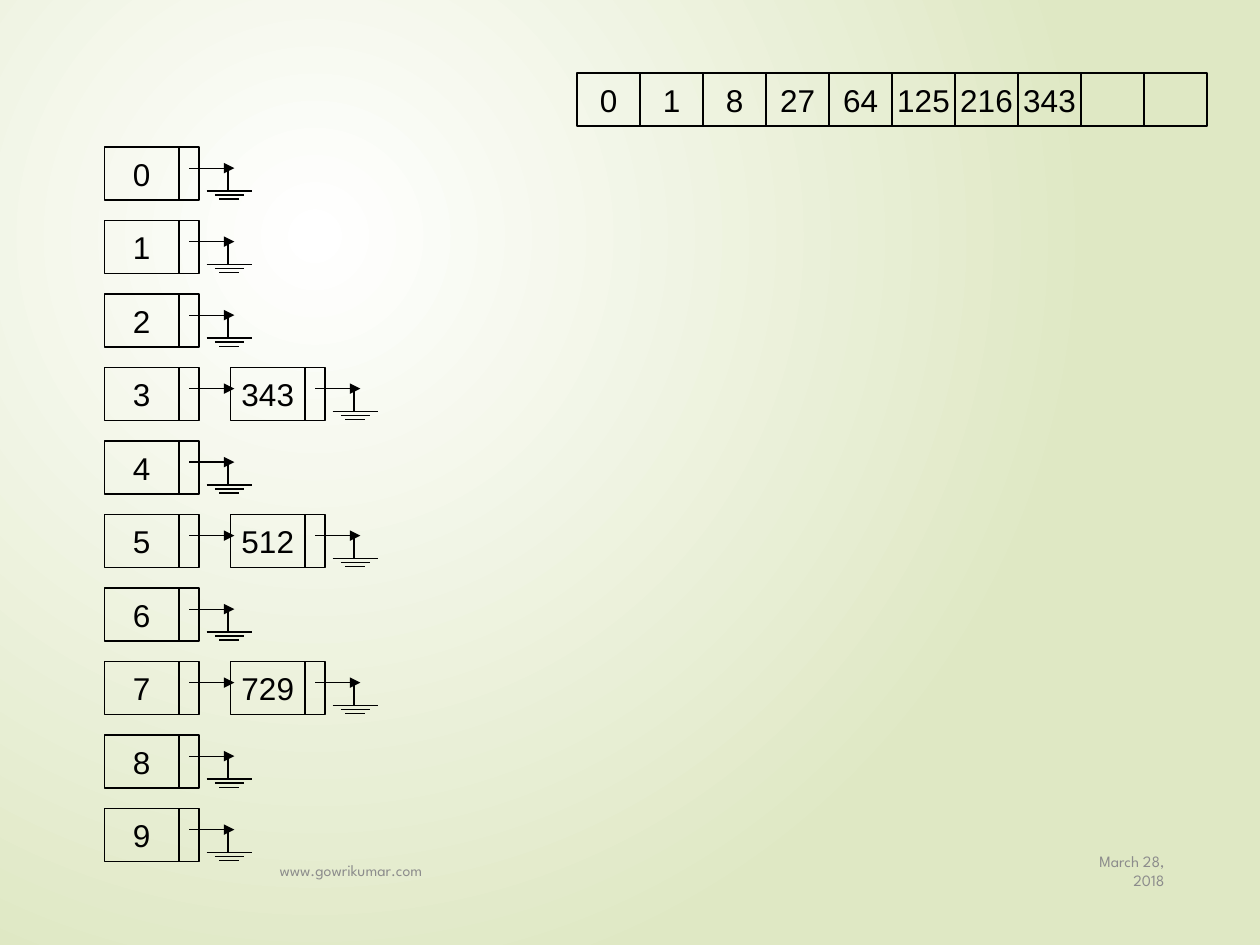
import pptx
import pptx.dml.color
import pptx.enum.shapes
import pptx.enum.text
import pptx.oxml
import pptx.oxml.ns
import pptx.util
from pptx.util import Inches

ALIGN = pptx.enum.text.PP_ALIGN
ANCHOR = pptx.enum.text.MSO_ANCHOR
RECTANGLE = pptx.enum.shapes.MSO_SHAPE.RECTANGLE
STRAIGHT = pptx.enum.shapes.MSO_CONNECTOR.STRAIGHT

ROW_PITCH = 7 / 12
CELL_HEIGHT = 0.42
BUCKETS_LEFT, BUCKETS_TOP = 0.83, 7 / 6
CHAIN_PITCH = 1
VALUE_WIDTH, LINK_WIDTH = 0.59, 0.16
ARRAY_LEFT, ARRAY_TOP, ARRAY_CELL = 4.58, 0.58, 0.5

ARRAY_VALUES = ["0", "1", "8", "27", "64", "125", "216", "343", "", ""]
CHAINED_VALUES = {3: "343", 5: "512", 7: "729"}


def color(hex_string):
    return pptx.dml.color.RGBColor.from_string(hex_string)


def append_xml(parent, tag, attributes=""):
    namespace = pptx.oxml.ns.nsdecls("a")
    parent.append(pptx.oxml.parse_xml(f"<a:{tag} {namespace} {attributes}/>"))


class BucketSlide:
    ink = "000000"
    muted = "8C8C8C"
    line_width = pptx.util.Pt(0.75)
    cell_font, footer_font = "Arial", "League Spartan"
    cell_size, footer_size = pptx.util.Pt(18), pptx.util.Pt(9)

    def __init__(self, page):
        self.page = page

    def background(self, center, edge):
        """Fill the page with a circular gradient centred in the upper left."""
        fill = self.page.background.fill
        fill.gradient()
        for stop, shade in zip(fill.gradient_stops, (center, edge)):
            stop.color.rgb = color(shade)
        gradient = self.page._element.find(".//" + pptx.oxml.ns.qn("a:gradFill"))
        gradient.remove(gradient.find(pptx.oxml.ns.qn("a:lin")))
        append_xml(gradient, "path", 'path="circle"')
        append_xml(gradient[-1], "fillToRect", 'l="50000" t="50000" r="100000" b="100000"')

    def format_text(self, para, text, font, size, shade, align):
        para.text = text
        para.alignment = align
        para.font.name = font
        para.font.size = size
        para.font.color.rgb = color(shade)

    def footer(self, text, left, width, align):
        box = self.page.shapes.add_textbox(Inches(left), Inches(6.71), Inches(width), Inches(0.4))
        frame = box.text_frame
        frame.word_wrap = True
        frame.vertical_anchor = ANCHOR.MIDDLE
        self.format_text(frame.paragraphs[0], text, self.footer_font,
                         self.footer_size, self.muted, align)

    def cell(self, shapes, left, top, width, text=""):
        box = shapes.add_shape(RECTANGLE, Inches(left), Inches(top),
                               Inches(width), Inches(CELL_HEIGHT))
        box.shadow.inherit = False
        box.fill.background()
        box.line.color.rgb = color(self.ink)
        box.line.width = self.line_width
        if text:
            frame = box.text_frame
            frame.word_wrap = False
            frame.vertical_anchor = ANCHOR.MIDDLE
            self.format_text(frame.paragraphs[0], text, self.cell_font,
                             self.cell_size, self.ink, ALIGN.CENTER)

    def line(self, shapes, start, end, arrow=False):
        points = [Inches(value) for value in (*start, *end)]
        connector = shapes.add_connector(STRAIGHT, *points)
        connector.line.color.rgb = color(self.ink)
        connector.line.width = self.line_width
        if arrow:
            append_xml(connector.line._get_or_add_ln(), "tailEnd", 'type="triangle"')
        append_xml(connector._element.spPr, "effectLst")

    def node(self, left, top, text, is_last):
        """Draw a value and its link, ending in a ground symbol if it is last."""
        shapes = self.page.shapes.add_group_shape().shapes
        self.cell(shapes, left, top, VALUE_WIDTH, text)
        self.cell(shapes, left + VALUE_WIDTH, top, LINK_WIDTH)
        arrow_y = top + CELL_HEIGHT * 0.4
        self.line(shapes, (left + 0.67, arrow_y), (left + 1.03, arrow_y), arrow=True)
        if is_last:
            ground_x, ground_y = left + 0.99, top + 0.35
            for step, half_width in enumerate((0.18, 0.115, 0.08)):
                bar_y = ground_y + step * 0.032
                self.line(shapes, (ground_x - half_width, bar_y), (ground_x + half_width, bar_y))
            self.line(shapes, (left + 0.98, ground_y), (left + 0.98, arrow_y))

    def chain(self, top, values):
        for index, value in enumerate(values):
            self.node(BUCKETS_LEFT + index * CHAIN_PITCH, top, value, index == len(values) - 1)

    def array(self, values):
        for index, value in enumerate(values):
            self.cell(self.page.shapes, ARRAY_LEFT + index * ARRAY_CELL,
                      ARRAY_TOP, ARRAY_CELL, value)


def main():
    deck = pptx.Presentation()
    deck.slide_width, deck.slide_height = Inches(10), Inches(7.5)
    slide = BucketSlide(deck.slides.add_slide(deck.slide_layouts[6]))
    slide.background("FFFFFF", "DFE8C4")
    slide.footer("March 28, 2018", 8.5, 0.84, ALIGN.RIGHT)
    slide.footer("www.gowrikumar.com", 2.12, 6.25, ALIGN.LEFT)
    slide.array(ARRAY_VALUES)
    for digit in range(10):
        values = [str(digit)]
        if digit in CHAINED_VALUES:
            values.append(CHAINED_VALUES[digit])
        slide.chain(BUCKETS_TOP + digit * ROW_PITCH, values)
    deck.save("out.pptx")


if __name__ == "__main__":
    main()
